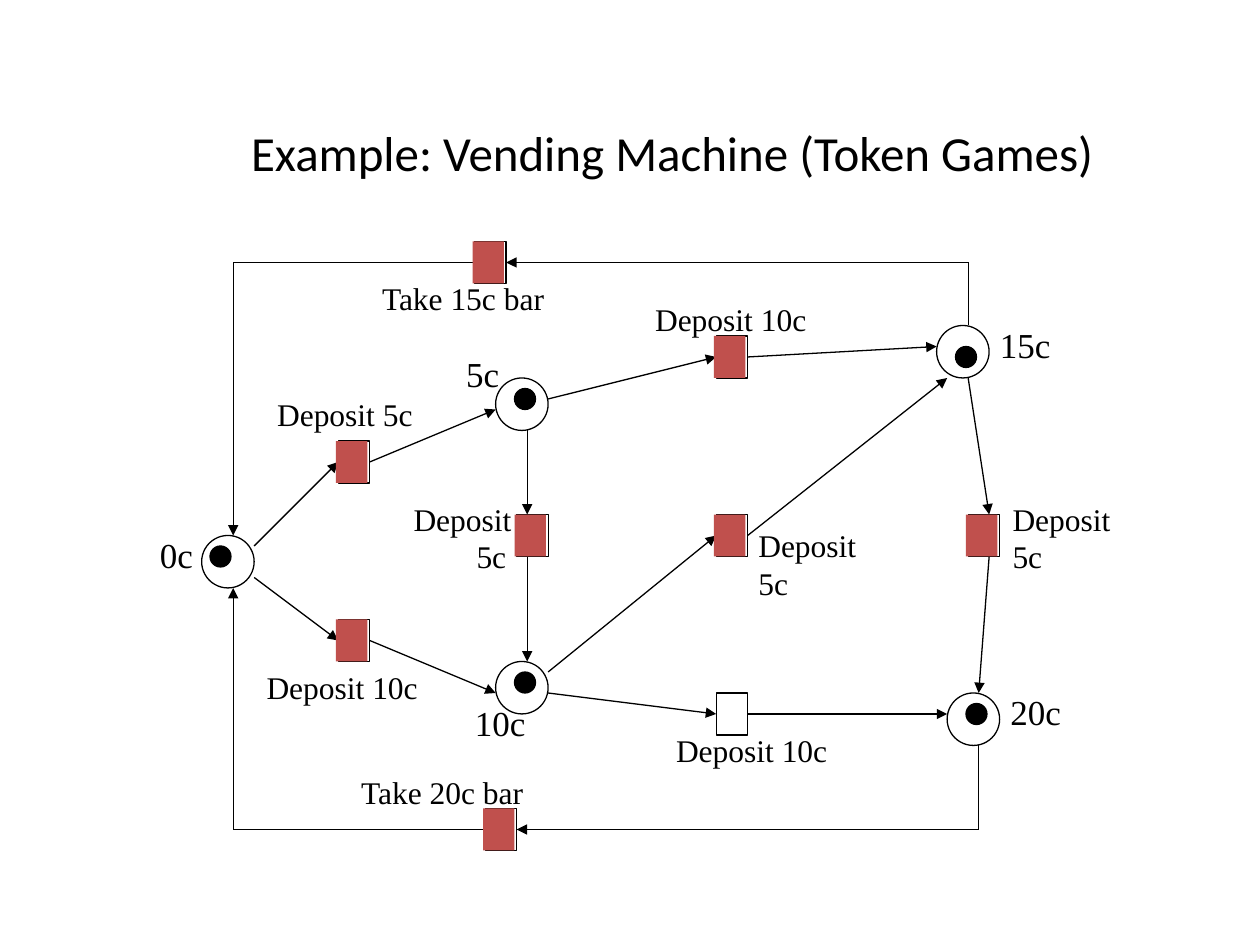
from dataclasses import dataclass
from itertools import pairwise

from lxml.etree import SubElement
from pptx import Presentation
from pptx.dml.color import RGBColor
from pptx.enum.shapes import MSO_CONNECTOR, MSO_SHAPE
from pptx.enum.text import MSO_ANCHOR, MSO_AUTO_SIZE, PP_ALIGN
from pptx.oxml.ns import qn
from pptx.slide import Slide
from pptx.util import Pt

BLACK = RGBColor(0x00, 0x00, 0x00)
RED = RGBColor(0xC0, 0x50, 0x4D)
SERIF = "Times New Roman"
LINE_WIDTH = 0.75
PLACE_SIZE = 30
TOKEN_SIZE = 12
TRANSITION_WIDTH, TRANSITION_HEIGHT = 18, 24
FILL_SHIFT = 1.25


@dataclass(frozen=True)
class Place:
    x: float
    y: float
    token_x: float
    token_y: float


@dataclass(frozen=True)
class Transition:
    x: float
    y: float
    filled: bool = True


@dataclass(frozen=True)
class Label:
    lines: tuple[str, ...]
    x: float
    y: float
    w: float
    h: float = 29
    size: float = 18
    indent: float = 0


PLACES = [
    Place(115.25, 306, 120, 312),
    Place(283.25, 216, 294, 222),
    Place(283.25, 378, 294, 384),
    Place(541.25, 396, 552, 402),
    Place(535.25, 186, 546, 198),
]

TRANSITIONS = [
    Transition(193.25, 354),
    Transition(193.25, 252),
    Transition(409.25, 192),
    Transition(409.25, 396, filled=False),
    Transition(409.25, 294),
    Transition(295.25, 294),
    Transition(553.25, 294),
    Transition(277.25, 462),
    Transition(271.25, 138),
]

ARCS = [
    [(271.25, 150), (133.25, 150), (133.25, 306)],
    [(145.25, 312), (193.25, 264)],
    [(145.25, 330), (193.25, 366)],
    [(211.25, 264), (283.25, 234)],
    [(211.25, 366), (283.25, 396)],
    [(313.25, 228), (409.25, 204)],
    [(427.25, 204), (535.25, 198)],
    [(301.25, 246), (301.25, 294)],
    [(301.25, 318), (301.25, 378)],
    [(313.25, 384), (409.25, 306)],
    [(427.25, 306), (541.25, 216)],
    [(313.25, 396), (409.25, 408)],
    [(427.25, 408), (541.25, 408)],
    [(553.25, 216), (565.25, 294)],
    [(565.25, 318), (559.25, 396)],
    [(559.25, 426), (559.25, 474), (295.25, 474)],
    [(277.25, 474), (133.25, 474), (133.25, 336)],
    [(553.25, 186), (553.25, 150), (289.25, 150)],
]

LABELS = [
    Label(("0c",), 84.25, 301.25, 34, 31.5, 20),
    Label(("5c",), 259.25, 198, 34, 31.5, 20),
    Label(("10c",), 264.25, 397.25, 44, 31.5, 20),
    Label(("15c",), 564.25, 181.25, 44, 31.5, 20),
    Label(("20c",), 570.25, 391.25, 44, 31.5, 20),
    Label(("Take 15c bar",), 211.25, 156, 139),
    Label(("Take 20c bar",), 199.25, 438, 109),
    Label(("Deposit 5c",), 151.25, 222, 93),
    Label(("Deposit 10c",), 145.25, 378, 102),
    Label(("Deposit 10c",), 367.25, 168, 102),
    Label(("Deposit 10c",), 379.25, 414, 102),
    Label(("Deposit", "5c"), 229.25, 282, 78, 50.5, indent=36),
    Label(("Deposit", "5c"), 426.25, 297, 71, 50.5),
    Label(("Deposit", "5c"), 571.5, 282, 71, 50.5),
]


def add_shape(s: Slide, kind: MSO_SHAPE, x: float, y: float, w: float, h: float,
              fill: RGBColor | None = None, line: RGBColor | None = BLACK) -> None:
    sp = s.shapes.add_shape(kind, Pt(x), Pt(y), Pt(w), Pt(h))
    sp.shadow.inherit = False
    if fill is None:
        sp.fill.background()
    else:
        sp.fill.solid()
        sp.fill.fore_color.rgb = fill
    if line is None:
        sp.line.fill.background()
    else:
        sp.line.color.rgb = line
        sp.line.width = Pt(LINE_WIDTH)


def add_arc(s: Slide, points: list[tuple[float, float]]) -> None:
    for (x1, y1), (x2, y2) in pairwise(points):
        c = s.shapes.add_connector(MSO_CONNECTOR.STRAIGHT, Pt(x1), Pt(y1), Pt(x2), Pt(y2))
        c.line.color.rgb = BLACK
        c.line.width = Pt(LINE_WIDTH)
        if (x2, y2) == points[-1]:
            SubElement(c.line._get_or_add_ln(), qn("a:tailEnd"), type="triangle")
        SubElement(c._element.spPr, qn("a:effectLst"))


def add_label(s: Slide, label: Label) -> None:
    sp = s.shapes.add_textbox(Pt(label.x), Pt(label.y), Pt(label.w), Pt(label.h))
    tf = sp.text_frame
    tf.word_wrap = False
    tf.auto_size = MSO_AUTO_SIZE.SHAPE_TO_FIT_TEXT
    for i, line in enumerate(label.lines):
        p = tf.paragraphs[0] if i == 0 else tf.add_paragraph()
        if i and label.indent:
            p._p.get_or_add_pPr().set("marL", str(Pt(label.indent)))
        r = p.add_run()
        r.text = line
        r.font.name = SERIF
        r.font.size = Pt(label.size)
        r.font.color.rgb = BLACK


def add_title(s: Slide, text: str) -> None:
    sp = s.shapes.title
    sp.left, sp.top, sp.width, sp.height = Pt(78), Pt(48), Pt(612), Pt(78)
    tf = sp.text_frame
    tf.vertical_anchor = MSO_ANCHOR.MIDDLE
    p = tf.paragraphs[0]
    p.alignment = PP_ALIGN.CENTER
    r = p.add_run()
    r.text = text
    r.font.name = "Calibri"
    r.font.size = Pt(28)
    r.font.color.rgb = BLACK


def main() -> None:
    prs = Presentation()
    prs.slide_width, prs.slide_height = Pt(720), Pt(540)
    s = prs.slides.add_slide(prs.slide_layouts[5])
    add_title(s, "Example: Vending Machine (Token Games)")
    for place in PLACES:
        add_shape(s, MSO_SHAPE.OVAL, place.x, place.y, PLACE_SIZE, PLACE_SIZE)
    for t in TRANSITIONS:
        add_shape(s, MSO_SHAPE.RECTANGLE, t.x, t.y, TRANSITION_WIDTH, TRANSITION_HEIGHT)
    for arc in ARCS:
        add_arc(s, arc)
    for label in LABELS:
        add_label(s, label)
    for t in TRANSITIONS:
        if t.filled:
            add_shape(s, MSO_SHAPE.RECTANGLE, t.x - FILL_SHIFT, t.y,
                      TRANSITION_WIDTH, TRANSITION_HEIGHT, RED, None)
    for place in PLACES:
        add_shape(s, MSO_SHAPE.OVAL, place.token_x, place.token_y,
                  TOKEN_SIZE, TOKEN_SIZE, BLACK)
    prs.save("out.pptx")


if __name__ == "__main__":
    main()
